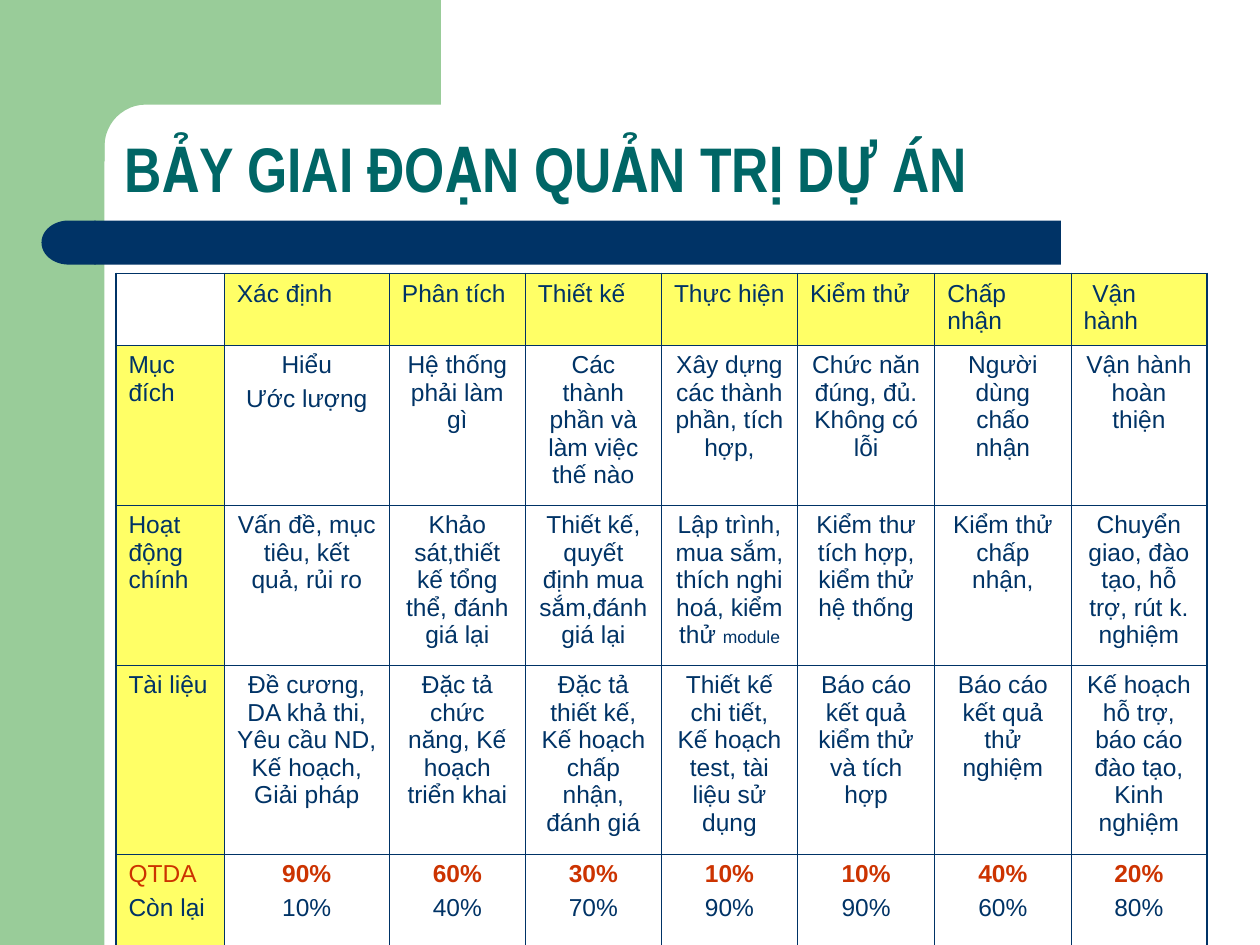
from math import cos, pi, sin

from lxml.etree import SubElement
from pptx import Presentation
from pptx.dml.color import RGBColor
from pptx.enum.shapes import MSO_SHAPE as Shape
from pptx.enum.text import MSO_ANCHOR as Anchor, MSO_AUTO_SIZE as Fit, PP_ALIGN as Align
from pptx.oxml.ns import qn
from pptx.util import Inches, Pt

GREEN = RGBColor(0x99, 0xCC, 0x99)
NAVY = RGBColor(0x00, 0x33, 0x66)
TEAL = RGBColor(0x00, 0x66, 0x66)
YELLOW = RGBColor(0xFF, 0xFF, 0x66)
RED = RGBColor(0xCC, 0x33, 0x00)


def paint(shape, color):
    shape.shadow.inherit = False
    shape.fill.solid()
    shape.fill.fore_color.rgb = color
    shape.line.fill.background()


def edge(cell, side, width):
    line = SubElement(cell._tc.get_or_add_tcPr(), qn(f"a:ln{side}"), w=str(Pt(width)))
    fill = SubElement(line, qn("a:solidFill"))
    SubElement(fill, qn("a:srgbClr"), val=str(NAVY))


deck = Presentation()
deck.slide_width, deck.slide_height = Inches(10), Inches(7.5)
slide = deck.slides.add_slide(deck.slide_layouts[5])
shapes = slide.shapes

band = shapes.add_shape(Shape.RECTANGLE, 0, 0, Inches(0.83), Inches(7.5))
paint(band, GREEN)

arc = [(1.16 - 0.33 * sin(k * pi / 24), 1.16 - 0.33 * cos(k * pi / 24)) for k in range(13)]
points = [(3.5, 0), (3.5, 0.83), *arc, (0.83, 1.28), (0.5, 1.28), (0.5, 0)]
points = [(Inches(x), Inches(y)) for x, y in points]
pen = shapes.build_freeform(*points[0])
pen.add_line_segments(points[1:], close=True)
paint(pen.convert_to_shape(), GREEN)

bar = shapes.add_shape(Shape.RECTANGLE, Inches(0.75), Inches(1.75), Inches(7.67), Inches(0.35))
paint(bar, NAVY)
cap = shapes.add_shape(Shape.FLOWCHART_DELAY, Inches(0.33), Inches(1.75), Inches(0.43), Inches(0.35))
paint(cap, NAVY)
cap._element.spPr.xfrm.set("flipH", "1")

title = shapes.title
title.left, title.top = Inches(0.89), Inches(0.89)
title.width, title.height = Inches(8.55), Inches(0.8)
frame = title.text_frame
frame.text = "BẢY GIAI ĐOẠN QUẢN TRỊ DỰ ÁN"
frame.auto_size = Fit.NONE
frame.vertical_anchor = Anchor.BOTTOM
head = frame.paragraphs[0]
head.alignment = Align.LEFT
head.line_spacing = 0.9
head.font.name = "Arial Narrow"
head.font.size = Pt(36)
head.font.bold = True
head.font.color.rgb = TEAL

rows = [
    ["", "Xác định", "Phân tích", "Thiết kế", "Thực hiện", "Kiểm thử", "Chấp nhận", "Vận hành"],
    ["Mục đích", "Hiểu\nƯớc lượng", "Hệ thống phải làm gì",
     "Các thành phần và làm việc thế nào", "Xây dựng các thành phần, tích hợp,",
     "Chức năn đúng, đủ. Không có lỗi", "Người dùng chấo nhận", "Vận hành hoàn thiện"],
    ["Hoạt động chính", "Vấn đề, mục tiêu, kết quả, rủi ro",
     "Khảo sát,thiết kế tổng thể, đánh giá lại",
     "Thiết kế, quyết định mua sắm,đánh giá lại",
     "Lập trình, mua sắm, thích nghi hoá, kiểm thử ",
     "Kiểm thư tích hợp, kiểm thử hệ thống", "Kiểm thử chấp nhận,",
     "Chuyển giao, đào tạo, hỗ trợ, rút k. nghiệm"],
    ["Tài liệu", "Đề cương, DA khả thi, Yêu cầu ND, Kế hoạch, Giải pháp",
     "Đặc tả chức năng, Kế hoạch triển khai",
     "Đặc tả thiết kế, Kế hoạch chấp nhận, đánh giá",
     "Thiết kế chi tiết, Kế hoạch test, tài liệu sử dụng",
     "Báo cáo kết quả kiểm thử và tích hợp", "Báo cáo kết quả thử nghiệm",
     "Kế hoạch hỗ trợ, báo cáo đào tạo, Kinh nghiệm"],
    ["QTDA\nCòn lại"] + [f"{n}%\n{100 - n}%" for n in (90, 60, 30, 10, 10, 40, 20)],
]
widths = [0.86, 1.31] + [1.08] * 3 + [1.09] + [1.08] * 2
heights = [0.57, 1.27, 1.27, 1.5, 0.76]
table = shapes.add_table(5, 8, Inches(0.92), Inches(2.17), Inches(8.66), Inches(5.37)).table
table.first_row = table.horz_banding = False
for col, width in zip(table.columns, widths):
    col.width = Inches(width)
for row, height in zip(table.rows, heights):
    row.height = Inches(height)

for r, texts in enumerate(rows):
    for c, text in enumerate(texts):
        cell = table.cell(r, c)
        for side, outer in (("L", c == 0), ("R", c == 7), ("T", r == 0), ("B", r == 4)):
            edge(cell, side, 1.08 if outer else 0.45)
        if text and (r == 0 or c == 0):
            cell.fill.solid()
            cell.fill.fore_color.rgb = YELLOW
        else:
            cell.fill.background()
        cell.text = text
        for i, para in enumerate(cell.text_frame.paragraphs):
            para.alignment = Align.CENTER if r and c else Align.LEFT
            para.space_before = Pt(3.5 if i else 0)
            key = r == 4 and i == 0
            para.font.name = "Arial"
            para.font.size = Pt(14)
            para.font.bold = key and c > 0
            para.font.color.rgb = RED if key else NAVY

note = table.cell(2, 4).text_frame.paragraphs[0].add_run()
note.text = "module"
note.font.size = Pt(10)
last = table.cell(0, 7).text_frame.paragraphs[0]
last._p.get_or_add_pPr().set("indent", str(Inches(0.07)))

deck.save("out.pptx")
